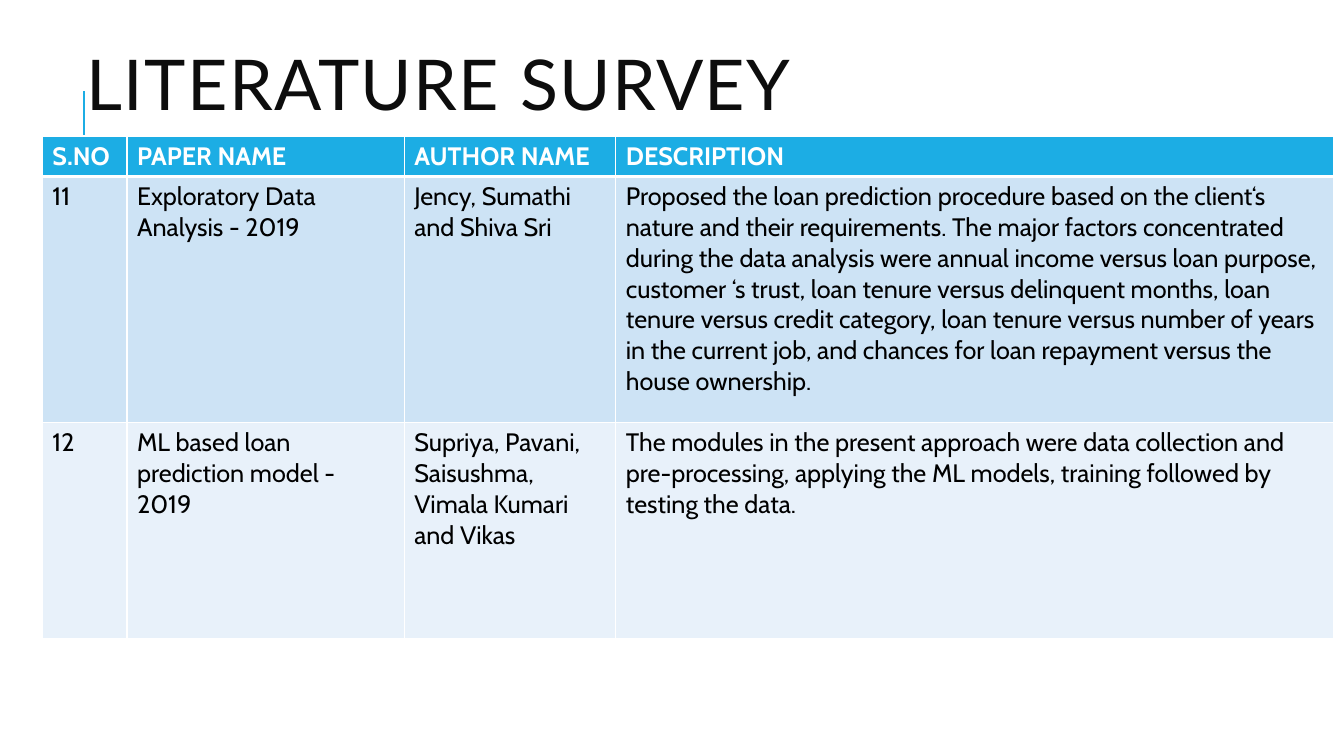
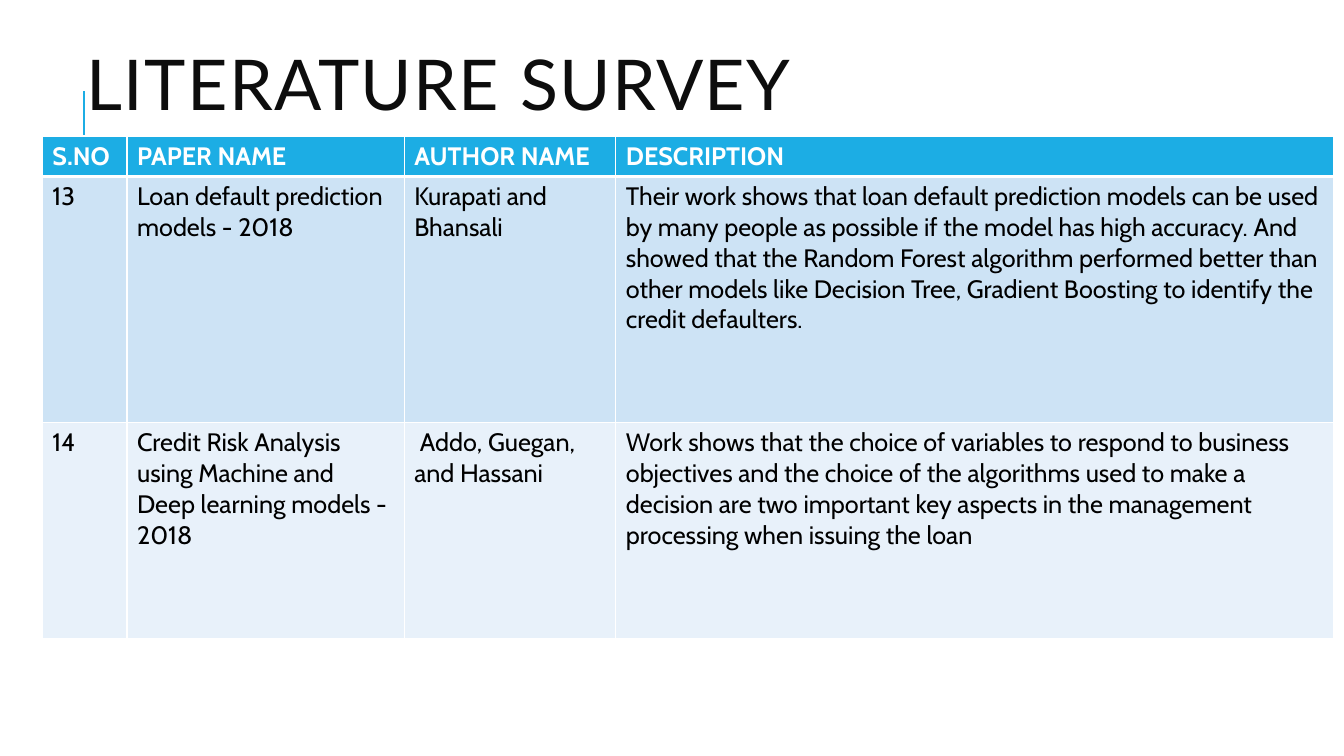
from pptx import Presentation
from pptx.util import Pt
from pptx.dml.color import RGBColor
from pptx.enum.shapes import MSO_CONNECTOR
from pptx.enum.text import MSO_ANCHOR
from lxml.etree import SubElement
from pptx.oxml.ns import qn

COLORS = {
    "accent": "1CADE4",
    "title": "0D0D0D",
    "text": "000000",
    "white": "FFFFFF",
    "band_dark": "CDE3F5",
    "band_light": "E8F1FA",
}
TITLE_FONT = "Lato"
TABLE_FONT = "Cabin"

TITLE = "LITERATURE SURVEY"
HEADINGS = ["S.NO", "PAPER NAME", "AUTHOR NAME", "DESCRIPTION"]
COLUMN_WIDTHS = [60.48, 198, 151.2, 512.64]
ROW_HEIGHTS = [28.8, 175.68, 154.8]

SURVEYS = [
    [
        ["11", "Exploratory Data Analysis - 2019", "Jency, Sumathi and Shiva Sri",
         "Proposed the loan prediction procedure based on the client‘s nature and their "
         "requirements. The major factors concentrated during the data analysis were annual "
         "income versus loan purpose, customer ‘s trust, loan tenure versus delinquent months, "
         "loan tenure versus credit category, loan tenure versus number of years in the current "
         "job, and chances for loan repayment versus the house ownership."],
        ["12", "ML based loan prediction model - 2019",
         "Supriya, Pavani, Saisushma, Vimala Kumari and Vikas",
         "The modules in the present approach were data collection and pre-processing, applying "
         "the ML models, training followed by testing the data."],
    ],
    [
        ["13", "Loan default prediction models - 2018", "Kurapati and Bhansali",
         "Their work shows that loan default prediction models can be used by many people as "
         "possible if the model has high accuracy. And showed that the Random Forest algorithm "
         "performed better than other models like Decision Tree, Gradient Boosting to identify "
         "the credit defaulters."],
        ["14", "Credit Risk Analysis using Machine and Deep learning models - 2018",
         " Addo, Guegan, and Hassani",
         "Work shows that the choice of variables to respond to business objectives and the "
         "choice of the algorithms used to make a decision are two important key aspects in the "
         "management processing when issuing the loan"],
    ],
]


def color(name):
    return RGBColor.from_string(COLORS[name])


def add_span(para, text, font, size, color_name, bold=False):
    span = para.add_run()
    span.text = text
    span.font.name = font
    span.font.size = Pt(size)
    span.font.bold = bold
    span.font.color.rgb = color(color_name)
    return span


def add_accent_line(page):
    line = page.shapes.add_connector(
        MSO_CONNECTOR.STRAIGHT, Pt(59.76), Pt(136.8), Pt(59.76), Pt(64.8))
    line.line.color.rgb = color("accent")
    line.line.width = Pt(1.5)
    SubElement(line._element.spPr, qn("a:effectLst"))


def add_title(page, text):
    box = page.shapes.add_textbox(Pt(54.72), Pt(5.76), Pt(765.36), Pt(118.08))
    frame = box.text_frame
    frame.word_wrap = True
    frame.vertical_anchor = MSO_ANCHOR.MIDDLE
    para = frame.paragraphs[0]
    para.line_spacing = 0.8
    span = add_span(para, text, TITLE_FONT, 50, "title")
    span.font._element.set("spc", "100")


def set_borders(cell, top, bottom):
    properties = cell._tc.get_or_add_tcPr()
    for side, width in (("L", 1), ("R", 1), ("T", top), ("B", bottom)):
        edge = SubElement(properties, qn(f"a:ln{side}"), w=str(Pt(width)))
        fill = SubElement(edge, qn("a:solidFill"))
        SubElement(fill, qn("a:srgbClr"), val=COLORS["white"])


def add_survey_table(page, papers):
    rows = [HEADINGS] + papers
    table = page.shapes.add_table(
        len(rows), len(HEADINGS), Pt(30.24), Pt(97.2),
        Pt(sum(COLUMN_WIDTHS)), Pt(sum(ROW_HEIGHTS))).table
    for column, width in zip(table.columns, COLUMN_WIDTHS):
        column.width = Pt(width)
    for row, height in zip(table.rows, ROW_HEIGHTS):
        row.height = Pt(height)

    # The heading row is set off by a thicker rule
    bands = ["accent", "band_dark", "band_light"]
    for row_index, (texts, band) in enumerate(zip(rows, bands)):
        heading = row_index == 0
        for column_index, text in enumerate(texts):
            cell = table.cell(row_index, column_index)
            set_borders(cell, top=3 if row_index == 1 else 1, bottom=3 if heading else 1)
            cell.fill.solid()
            cell.fill.fore_color.rgb = color(band)
            add_span(cell.text_frame.paragraphs[0], text, TABLE_FONT, 18,
                     "white" if heading else "text", bold=heading)


def main():
    deck = Presentation()
    deck.slide_width, deck.slide_height = Pt(960), Pt(540)
    for papers in SURVEYS:
        page = deck.slides.add_slide(deck.slide_layouts[6])
        add_accent_line(page)
        add_title(page, TITLE)
        add_survey_table(page, papers)
    deck.save("out.pptx")


main()
